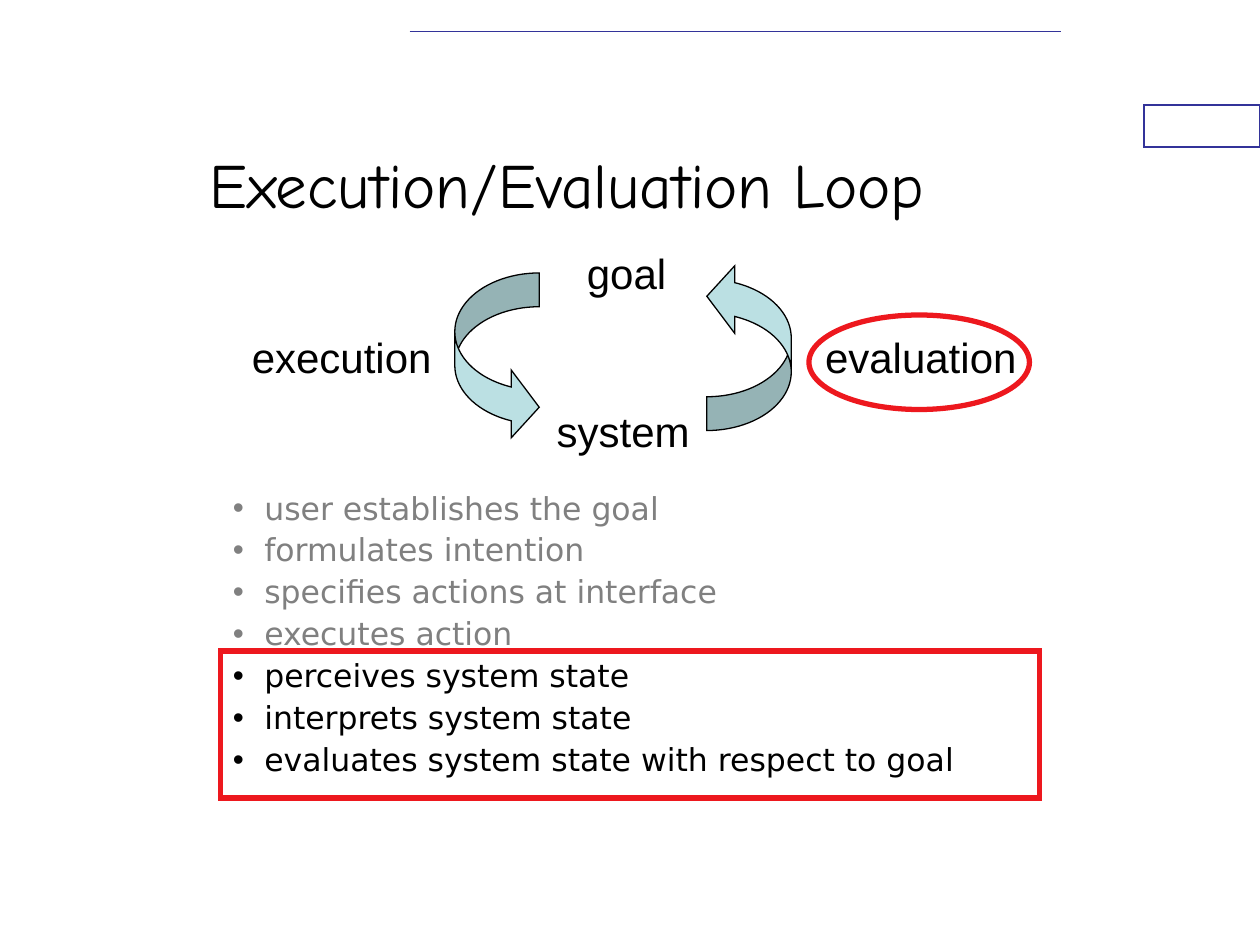
from lxml import etree
from pptx import Presentation
from pptx import util as u
from pptx.dml.color import RGBColor
from pptx.enum import dml, shapes, text
from pptx.oxml import ns

W, H = 10, 7.5
ROW = H / 90  # one row of the layout grid, in inches

WHITE = RGBColor(0xFF, 0xFF, 0xFF)
BLACK = RGBColor(0x00, 0x00, 0x00)
GREY = RGBColor(0x80, 0x80, 0x80)
NAVY = RGBColor(0x33, 0x33, 0x99)
TEAL = RGBColor(0xBB, 0xE0, 0xE3)
RED = RGBColor(0xED, 0x18, 0x1E)

EXECUTION_STEPS = [
    "user establishes the goal",
    "formulates intention",
    "specifies actions at interface",
    "executes action",
]
EVALUATION_STEPS = [
    "perceives system state",
    "interprets system state",
    "evaluates system state with respect to goal",
]
# Loop label: left, width in inches, top in grid rows
LABELS = {
    "goal": (4.56, 0.84, 23),
    "execution": (1.9, 1.64, 31),
    "evaluation": (6.45, 1.74, 31),
    "system": (4.32, 1.27, 38),
}


def box(left, top_row, width, rows):
    """Left and width in inches, top and height in grid rows."""
    return (u.Inches(left), u.Inches(top_row * ROW),
            u.Inches(width), u.Inches(rows * ROW))


def add_bullet(p, indent):
    pPr = p._p.get_or_add_pPr()
    pPr.set("marL", str(u.Inches(indent)))
    pPr.set("indent", str(-u.Inches(indent)))
    etree.SubElement(pPr, ns.qn("a:buFont"), typeface="Arial")
    etree.SubElement(pPr, ns.qn("a:buChar"), char="•")


def add_text(s, place, lines, font="Arial", size=24, align=text.PP_ALIGN.LEFT,
             anchor=text.MSO_ANCHOR.TOP, fit=False, bullet=False):
    """Add a text box; lines is a list of (wording, colour)."""
    tf = s.shapes.add_textbox(*place).text_frame
    tf.word_wrap = not fit
    if fit:
        tf.auto_size = text.MSO_AUTO_SIZE.SHAPE_TO_FIT_TEXT
    tf.vertical_anchor = anchor
    for i, (words, color) in enumerate(lines):
        p = tf.add_paragraph() if i else tf.paragraphs[0]
        p.alignment = align
        if bullet:
            p.line_spacing = 0.9
            p.space_before = u.Pt(4.5)
            add_bullet(p, 0.25)
        r = p.add_run()
        r.text = words
        r.font.name = font
        r.font.size = u.Pt(size)
        r.font.color.rgb = color


def set_line(sp, color, weight):
    sp.line.color.rgb = color
    sp.line.width = u.Pt(weight)
    sp.line.dash_style = dml.MSO_LINE.SOLID
    ln = sp._element.spPr.find(ns.qn("a:ln"))
    etree.SubElement(ln, ns.qn("a:miter"), lim="800000")


def add_shape(s, kind, place, line, weight, fill=None):
    sp = s.shapes.add_shape(kind, *place)
    sp.shadow.inherit = False
    set_line(sp, line, weight)
    if fill is None:
        sp.fill.background()
    else:
        sp.fill.solid()
        sp.fill.fore_color.rgb = fill
    return sp


def add_rule(s, x1, x2, row):
    y = u.Inches(row * ROW)
    c = s.shapes.add_connector(shapes.MSO_CONNECTOR.STRAIGHT,
                               u.Inches(x1), y, u.Inches(x2), y)
    set_line(c, NAVY, 1)
    etree.SubElement(c._element.spPr, ns.qn("a:effectLst"))
    # The theme style would compete with the explicit line
    c._element.remove(c._element.find(ns.qn("p:style")))


def add_loop_arrow(s, left, top_row, rotation):
    sp = add_shape(s, shapes.MSO_SHAPE.CURVED_RIGHT_ARROW,
                   box(left, top_row, 0.67, 16), BLACK, 0.75, TEAL)
    for i, share in enumerate((0.4, 0.8, 0.33)):
        sp.adjustments[i] = share
    sp.rotation = rotation


def main():
    prs = Presentation()
    prs.slide_width, prs.slide_height = u.Inches(W), u.Inches(H)
    s = prs.slides.add_slide(prs.slide_layouts[6])

    # Page decoration
    add_shape(s, shapes.MSO_SHAPE.RECTANGLE, box(9.08, 10, 0.92, 4),
              NAVY, 0.75, WHITE)
    add_rule(s, 3.25, 8.42, 3)

    # Title
    add_text(s, box(0.75, 10, 7.5, 15), [("Execution/Evaluation Loop", BLACK)],
             font="Comic Neue", size=36, align=text.PP_ALIGN.CENTER,
             anchor=text.MSO_ANCHOR.MIDDLE)

    # Steps of the loop
    steps = ([(step, GREY) for step in EXECUTION_STEPS]
             + [(step, BLACK) for step in EVALUATION_STEPS])
    add_text(s, box(1.75, 46.35, 7.5, 30), steps, font="DejaVu Sans", size=18,
             bullet=True)

    # Loop diagram
    for words, (left, width, row) in LABELS.items():
        add_text(s, box(left, row, width, 6), [(words, BLACK)], fit=True)
    add_loop_arrow(s, 3.61, 26, 0)
    add_loop_arrow(s, 5.61, 25, 180)

    # Highlights on the evaluation half
    add_shape(s, shapes.MSO_SHAPE.OVAL, box(6.42, 30, 1.75, 9), RED, 3)
    add_shape(s, shapes.MSO_SHAPE.RECTANGLE, box(1.75, 62, 6.5, 14), RED, 3)

    prs.save("out.pptx")


if __name__ == "__main__":
    main()
